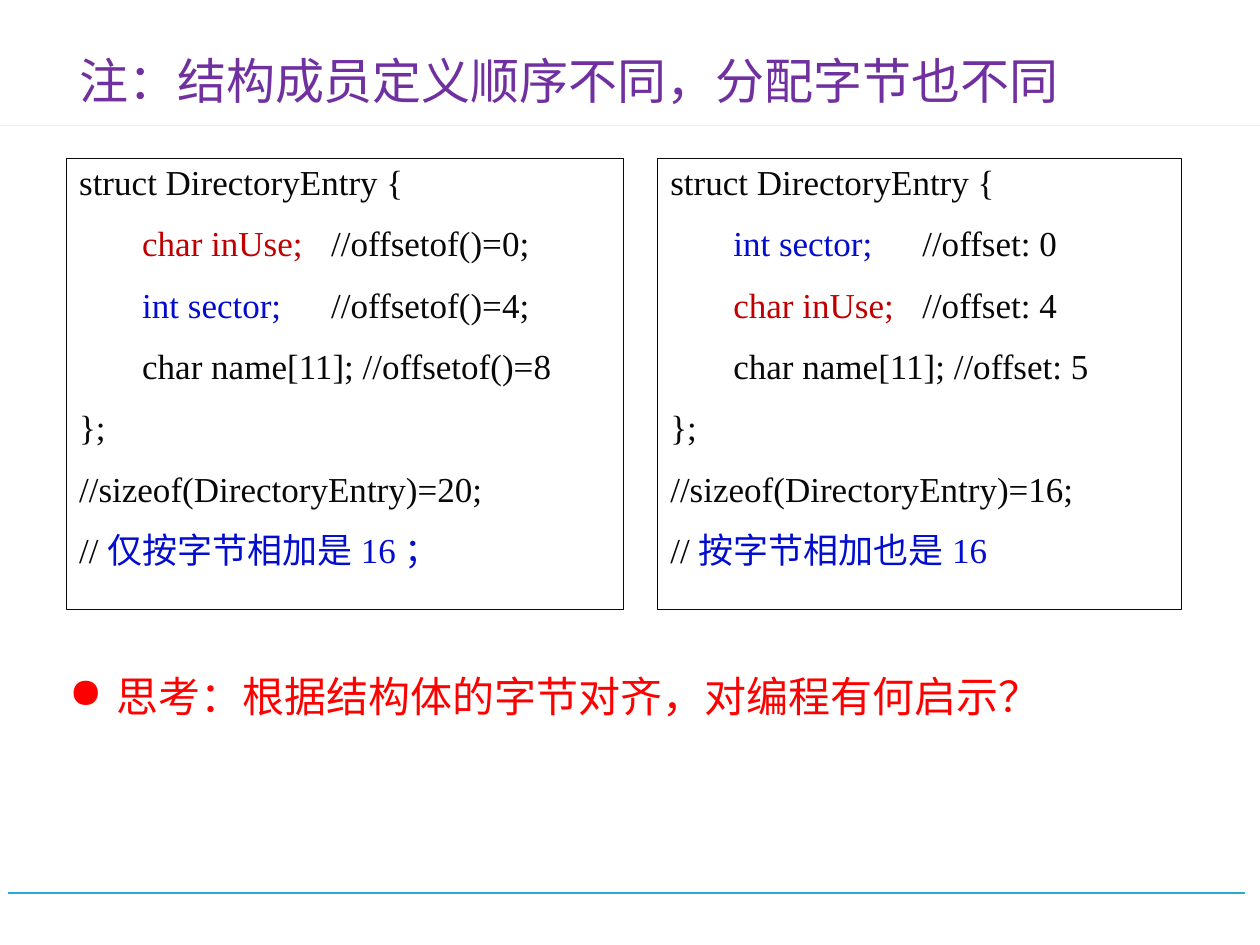
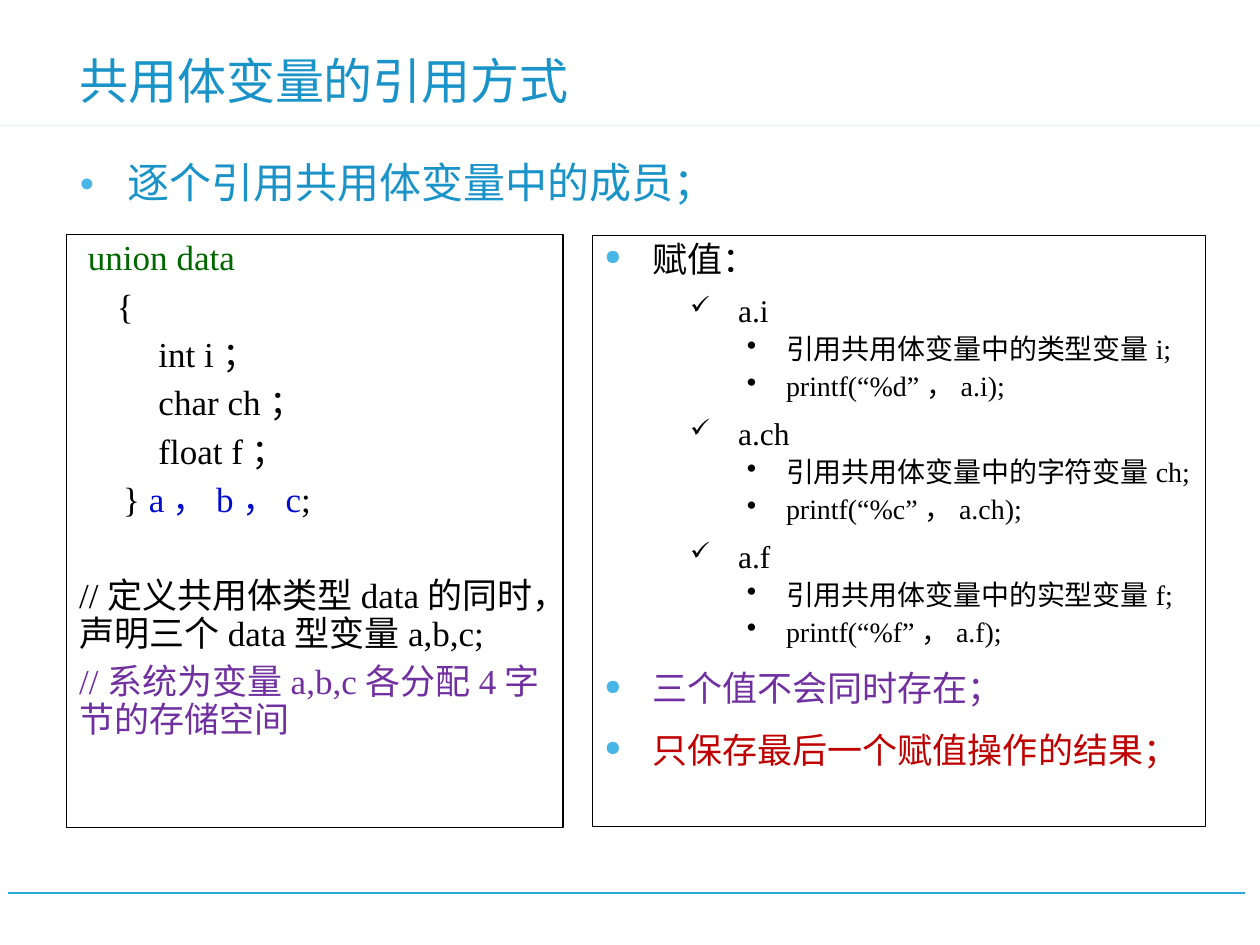
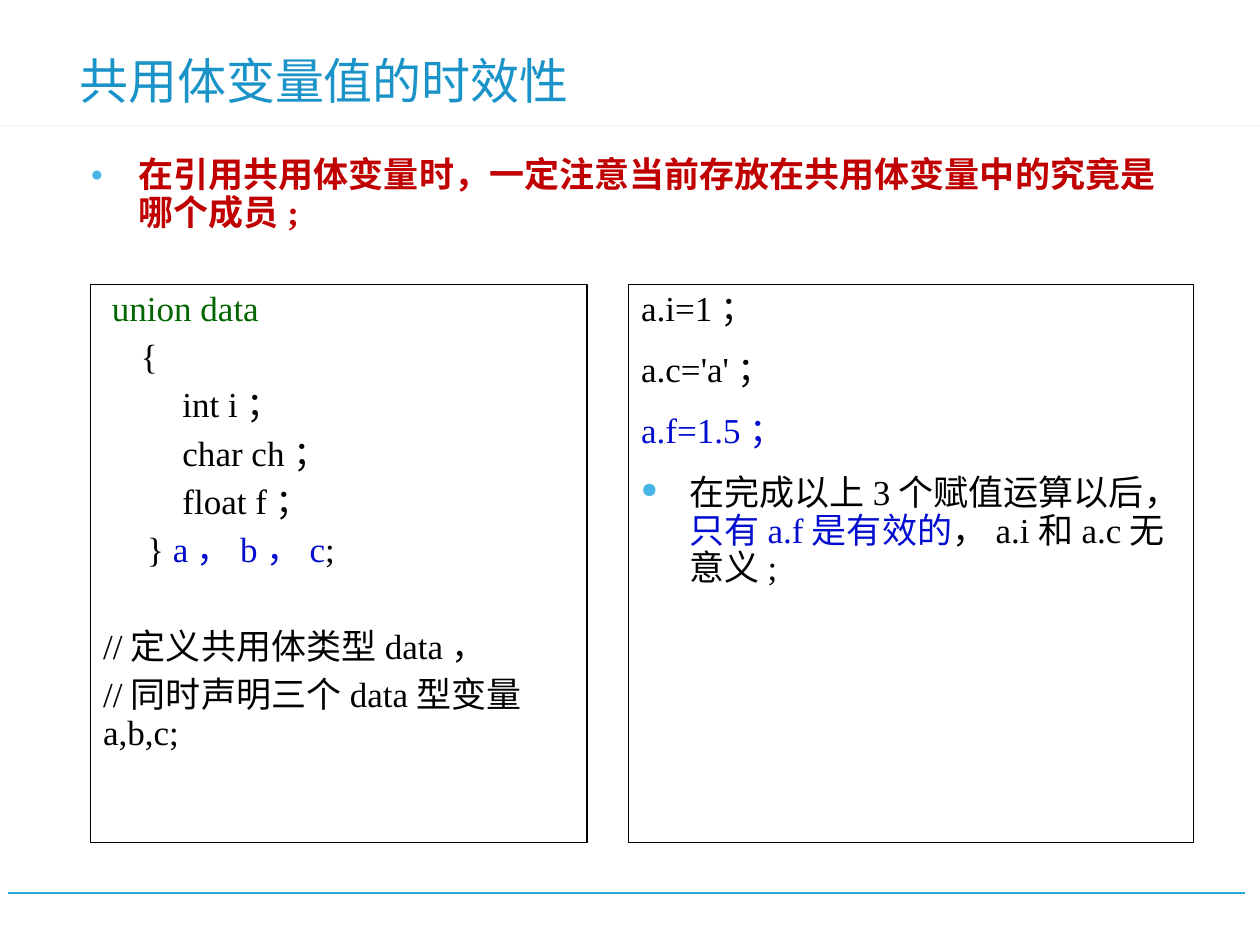
from lxml import etree
from pptx import Presentation
from pptx.dml.color import RGBColor
from pptx.enum.shapes import MSO_CONNECTOR
from pptx.enum.text import MSO_ANCHOR, MSO_AUTO_SIZE, PP_ALIGN
from pptx.oxml.ns import qn
from pptx.util import Inches, Pt

STRAIGHT = MSO_CONNECTOR.STRAIGHT
LEFT = PP_ALIGN.LEFT
TOP, BOTTOM = MSO_ANCHOR.TOP, MSO_ANCHOR.BOTTOM
FIXED = MSO_AUTO_SIZE.NONE

WIDTH, HEIGHT = 10, 7.5
FONT = "Times New Roman"
ACCENT, SKY, BULLET = "28A9D6", "1A93C8", "47B6E7"
INK, BLACK, BLUE = "080808", "000000", "030DCD"
PURPLE, CRIMSON, RED, GREEN = "7030A0", "C00000", "FF0000", "006600"

TITLE_AREA = (0.53, 0.28, 8.85, 0.64)
FOOTER_Y = 7.09
CORNER = [
    (0.27, 0.46), (0.3, 0.46), (0.3, 0.91), (0.33, 0.91), (0.33, 0.46),
    (0.41, 0.46), (0.41, 0.92), (1.4, 0.92), (10, 0.94), (0.39, 0.94),
    (0.39, 0.48), (0.36, 0.48), (0.36, 0.94), (0.27, 0.94),
]

BASE = {"size": 20, "spacing": 0.9, "before": 13.5, "left": 0, "hang": 0, "level": 0}
HEADING = {"size": 28, "before": 0}
CODE = {}
TIGHT = {"before": 6}
AFTER_GAP = {"before": 33.5}
POINT = {"left": 0.38, "hang": 0.38, "bullet": "●", "bullet_size": 60, "bullet_color": BULLET}
BIG_POINT = POINT | {"size": 24}
QUESTION = {"size": 24, "spacing": 1.2, "before": 0, "left": 0.38, "hang": 0.38, "bullet": "●"}
MEMBER = {"size": 18, "spacing": 1.3, "before": 0, "left": 1.06, "hang": 0.38,
          "level": 1, "bullet": "✓", "bullet_size": 80}
DETAIL = {"size": 16, "before": 3.8, "left": 1.44, "hang": 0.31, "level": 2, "bullet": "•"}


def tabbed(*stops):
    return {"tabs": stops}


def indented(left):
    return TIGHT | {"left": left}


STRUCT_CHAR_FIRST = [
    (CODE, ("struct DirectoryEntry {", INK)),
    (tabbed(0.75, 2.25), ("\tchar inUse;", CRIMSON), ("\t//offsetof()=0;", INK)),
    (tabbed(0.76, 2.25), ("\tint sector;", BLUE), ("\t//offsetof()=4;", INK)),
    (tabbed(0.75), ("\tchar name[11]; //offsetof()=8", INK)),
    (CODE, ("};", INK)),
    (CODE, ("//sizeof(DirectoryEntry)=20;", INK)),
    (CODE, ("//", INK), ("仅按字节相加是16；", BLUE)),
]
STRUCT_INT_FIRST = [
    (CODE, ("struct DirectoryEntry {", INK)),
    (tabbed(0.69, 2.36), ("\tint sector;", BLUE), ("\t//offset: 0", INK)),
    (tabbed(0.69, 2.32), ("\tchar inUse;", CRIMSON), ("\t//offset: 4", INK)),
    (tabbed(0.75), ("\tchar name[11]; //offset: 5", INK)),
    (CODE, ("};", INK)),
    (CODE, ("//sizeof(DirectoryEntry)=16;", INK)),
    (CODE, ("//", INK), ("按字节相加也是16", BLUE)),
]
UNION = [
    (indented(0.07), ("union data", GREEN)),
    (indented(0.3), ("{", BLACK)),
    *[(indented(0.63), (field, BLACK)) for field in ("int i；", "char ch；", "float f；")],
    (indented(0.35), ("} ", BLACK), ("a，b，c", BLUE), (";", BLACK)),
]
MEMBERS = [("i", "类型", "%d"), ("ch", "字符", "%c"), ("f", "实型", "%f")]
ASSIGNMENT = [(POINT, ("赋值：", BLACK))]
for member, kind, code in MEMBERS:
    ASSIGNMENT += [
        (MEMBER, (f"a.{member}", BLACK)),
        (DETAIL, (f"引用共用体变量中的{kind}变量{member};", BLACK)),
        (DETAIL, (f"printf(“{code}”，a.{member});", BLACK)),
    ]
ASSIGNMENT += [
    (POINT, ("三个值不会同时存在；", PURPLE)),
    (POINT, ("只保存最后一个赋值操作的结果；", CRIMSON)),
]

SLIDES = [
    {
        "title": ("注：结构成员定义顺序不同，分配字节也不同", PURPLE),
        "body": ((5.22, 1.26, 4.16, 3.58), INK, STRUCT_INT_FIRST),
        "boxes": [
            ((0.53, 1.26, 4.42, 3.58), INK, STRUCT_CHAR_FIRST),
            ((0.45, 5.19, 8.73, 0.54), None, [
                (QUESTION, ("思考：根据结构体的字节对齐，对编程有何启示？", RED)),
            ]),
        ],
    },
    {
        "title": ("共用体变量的引用方式", SKY),
        "body": ((0.53, 1.24, 8.74, 0.54), None, [
            (BIG_POINT, ("逐个引用共用体变量中的成员；", SKY)),
        ]),
        "boxes": [
            ((0.53, 1.86, 3.94, 4.71), BLACK, UNION + [
                (AFTER_GAP, ("//定义共用体类型data的同时，声明三个data型变量a,b,c;", BLACK)),
                (TIGHT, ("//系统为变量a,b,c各分配4字节的存储空间", PURPLE)),
            ]),
            ((4.7, 1.87, 4.87, 4.69), BLACK, ASSIGNMENT),
        ],
    },
    {
        "title": ("共用体变量值的时效性", SKY),
        "body": ((0.62, 1.2, 8.85, 0.78), None, [
            (POINT | {"bold": True},
             ("在引用共用体变量时，一定注意当前存放在共用体变量中的究竟是哪个成员;", CRIMSON)),
        ]),
        "boxes": [
            ((0.72, 2.26, 3.94, 4.43), BLACK, UNION + [
                (AFTER_GAP, ("//定义共用体类型data，", BLACK)),
                (TIGHT, ("//同时声明三个data型变量a,b,c;", BLACK)),
            ]),
            ((4.99, 2.26, 4.48, 4.43), BLACK, [
                (CODE, ("a.i=1；", BLACK)),
                (CODE, ("a.c='a'；", BLACK)),
                (CODE, ("a.f=1.5；", BLUE)),
                (POINT, ("在完成以上3个赋值运算以后，", BLACK),
                 ("只有a.f是有效的", BLUE), ("，a.i和a.c无意义;", BLACK)),
            ]),
        ],
    },
]


def rgb(color):
    return RGBColor.from_string(color)


def add_xml(parent, tag, **attributes):
    child = etree.SubElement(parent, qn(tag))
    for key, value in attributes.items():
        child.set(key, str(value))
    return child


def format_paragraph(paragraph, style):
    settings = {
        "alignment": LEFT,
        "level": style["level"],
        "line_spacing": style["spacing"],
        "space_before": Pt(style["before"]),
        "space_after": Pt(0),
    }
    for key, value in settings.items():
        setattr(paragraph, key, value)
    properties = paragraph._p.get_or_add_pPr()
    properties.set("marL", str(Inches(style["left"])))
    properties.set("indent", str(-Inches(style["hang"])))
    if "bullet" in style:
        if "bullet_color" in style:
            add_xml(add_xml(properties, "a:buClr"), "a:srgbClr", val=style["bullet_color"])
        add_xml(properties, "a:buSzPct", val=style.get("bullet_size", 100) * 1000)
        add_xml(properties, "a:buChar", char=style["bullet"])
    else:
        add_xml(properties, "a:buNone")
    if "tabs" in style:
        stops = add_xml(properties, "a:tabLst")
        for stop in style["tabs"]:
            add_xml(stops, "a:tab", pos=Inches(stop), algn="l")


def write(frame, paragraphs, anchor=TOP):
    settings = {"word_wrap": True, "auto_size": FIXED, "vertical_anchor": anchor}
    for key, value in settings.items():
        setattr(frame, key, value)
    for index, (changes, *runs) in enumerate(paragraphs):
        style = BASE | changes
        paragraph = frame.add_paragraph() if index else frame.paragraphs[0]
        format_paragraph(paragraph, style)
        for text, color in runs:
            run = paragraph.add_run()
            run.text = text
            font = {"name": FONT, "size": Pt(style["size"]), "bold": style.get("bold")}
            for key, value in font.items():
                setattr(run.font, key, value)
            run.font.color.rgb = rgb(color)


def place(shape, area):
    for key, value in zip(("left", "top", "width", "height"), area):
        setattr(shape, key, Inches(value))


def fill_panel(panel, border, paragraphs):
    if border:
        panel.line.color.rgb = rgb(border)
        panel.line.width = Pt(0.75)
    write(panel.text_frame, paragraphs)


def decorate_master(master, slide):
    footer = slide.shapes.add_connector(
        STRAIGHT, Inches(9.88), Inches(FOOTER_Y), Inches(0.06), Inches(FOOTER_Y))
    footer.line.color.rgb = rgb(ACCENT)
    footer.line.width = Pt(1.25)
    add_xml(footer.element.spPr, "a:effectLst")

    builder = slide.shapes.build_freeform(*CORNER[0], scale=Inches(1))
    builder.add_line_segments(CORNER[1:], close=True)
    corner = builder.convert_to_shape()
    corner.shadow.inherit = False
    corner.fill.solid()
    corner.fill.fore_color.rgb = rgb(ACCENT)
    corner.line.fill.background()

    for part in (footer, corner):
        master.shapes.element.append(part.element)


def build_slide(slide, content):
    title, body = slide.placeholders
    place(title, TITLE_AREA)
    write(title.text_frame, [(HEADING, content["title"])], BOTTOM)
    area, border, paragraphs = content["body"]
    place(body, area)
    fill_panel(body, border, paragraphs)
    for area, border, paragraphs in content["boxes"]:
        panel = slide.shapes.add_textbox(*map(Inches, area))
        fill_panel(panel, border, paragraphs)


def main():
    deck = Presentation()
    deck.slide_width, deck.slide_height = Inches(WIDTH), Inches(HEIGHT)
    layout = deck.slide_layouts[1]
    slides = [deck.slides.add_slide(layout) for _ in SLIDES]
    decorate_master(deck.slide_master, slides[0])
    for slide, content in zip(slides, SLIDES):
        build_slide(slide, content)
    deck.save("out.pptx")


if __name__ == "__main__":
    main()
